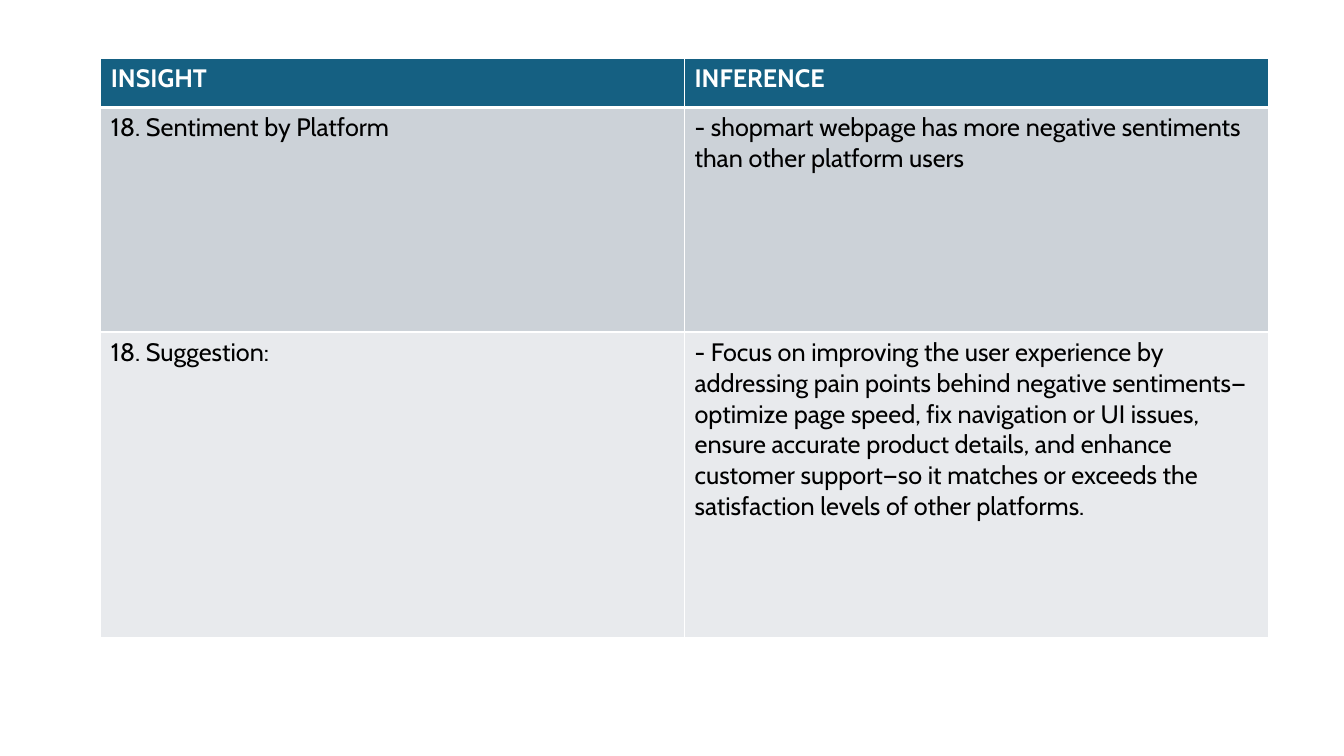
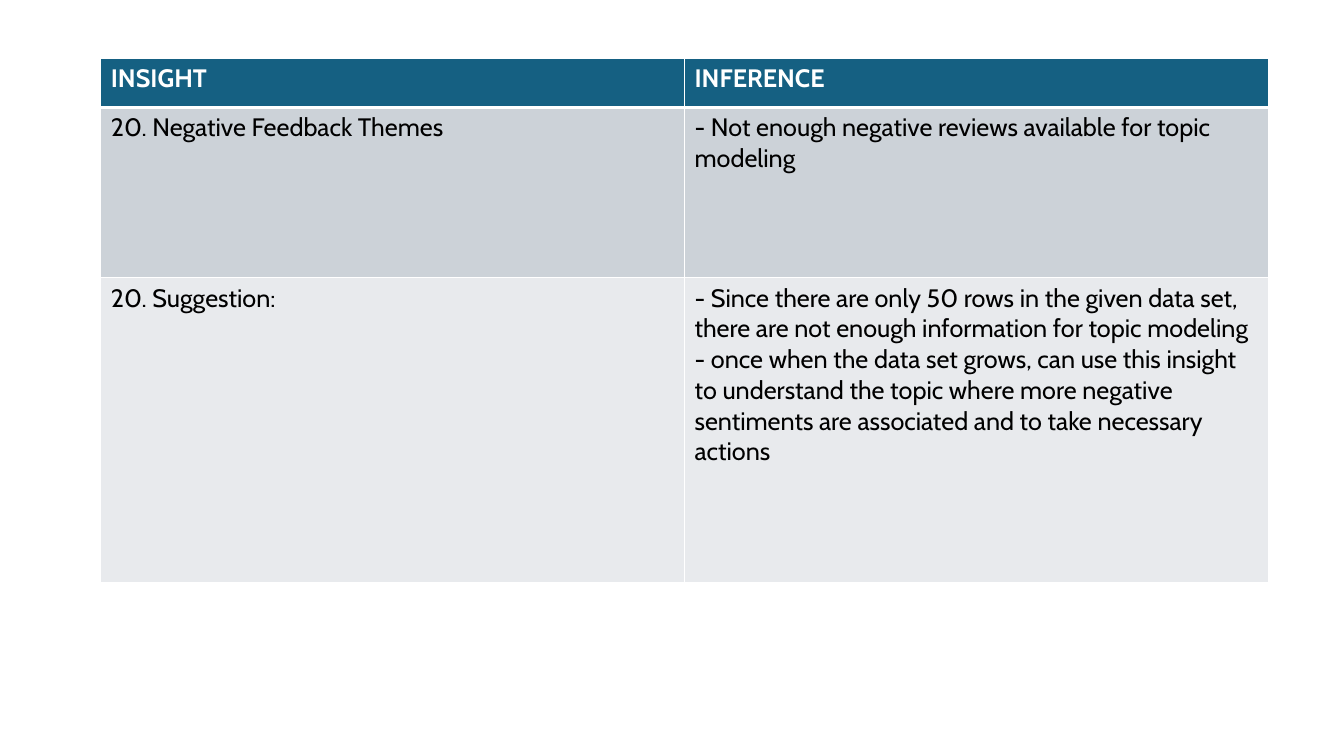
from pptx import Presentation
from pptx.dml.color import RGBColor
from pptx.oxml.ns import qn
from pptx.util import Pt
from lxml.etree import SubElement

FONT = "Cabin"
WHITE, BLACK = "FFFFFF", "000000"
HEADER_FILL = "156082"
BODY_FILLS = ("CCD2D8", "E8EAED")
HEADINGS = ("INSIGHT", "INFERENCE")
TABLE_BOX = (72, 41.4, 834)  # left, top, width
HEADER_HEIGHT, SUGGESTION_HEIGHT = 35.3, 218

# Height of the insight row, then the two body rows
SLIDES = [
    (160.5, [
        ("18. Sentiment by Platform",
         "- shopmart webpage has more negative sentiments than other platform users"),
        ("18. Suggestion:",
         "- Focus on improving the user experience by addressing pain points behind "
         "negative sentiments—optimize page speed, fix navigation or UI issues, ensure "
         "accurate product details, and enhance customer support—so it matches or "
         "exceeds the satisfaction levels of other platforms."),
    ]),
    (121.7, [
        ("20. Negative Feedback Themes",
         "- Not enough negative reviews available for topic modeling"),
        ("20. Suggestion:",
         "- Since there are only 50 rows in the given data set, there are not enough "
         "information for topic modeling\n"
         "- once when the data set grows, can use this insight to understand the topic "
         "where more negative sentiments are associated and to take necessary actions"),
    ]),
]


def rgb(color):
    return RGBColor.from_string(color)


def write_text(tf, text, size=18, color=BLACK, bold=False):
    """Write one paragraph per line of text."""
    for i, line in enumerate(text.split("\n")):
        p = tf.paragraphs[0] if i == 0 else tf.add_paragraph()
        r = p.add_run()
        r.text = line
        r.font.name, r.font.size, r.font.bold = FONT, Pt(size), bold
        r.font.color.rgb = rgb(color)


def set_borders(cell, color=WHITE, top=1, bottom=1):
    tc_pr = cell._tc.get_or_add_tcPr()
    for tag, width in (("lnL", 1), ("lnR", 1), ("lnT", top), ("lnB", bottom)):
        ln = SubElement(tc_pr, qn(f"a:{tag}"), w=str(Pt(width)))
        fill = SubElement(ln, qn("a:solidFill"))
        SubElement(fill, qn("a:srgbClr"), val=color)


def add_insight_table(slide, box, insight_height, body):
    left, top, width = box
    rows = [HEADINGS, *body]
    heights = (HEADER_HEIGHT, insight_height, SUGGESTION_HEIGHT)
    fills = (HEADER_FILL, *BODY_FILLS)
    table = slide.shapes.add_table(len(rows), len(HEADINGS), Pt(left), Pt(top),
                                   Pt(width), Pt(sum(heights))).table
    for column in table.columns:
        column.width = Pt(width / len(HEADINGS))

    for i, (texts, height, fill) in enumerate(zip(rows, heights, fills)):
        table.rows[i].height = Pt(height)
        header = i == 0
        for cell, text in zip(table.rows[i].cells, texts):
            # A thick rule parts the header from the body
            set_borders(cell, top=3 if i == 1 else 1, bottom=3 if header else 1)
            cell.fill.solid()
            cell.fill.fore_color.rgb = rgb(fill)
            write_text(cell.text_frame, text, bold=header,
                       color=WHITE if header else BLACK)


def main():
    prs = Presentation()
    prs.slide_width, prs.slide_height = Pt(960), Pt(540)
    blank = prs.slide_layouts[6]
    for insight_height, body in SLIDES:
        add_insight_table(prs.slides.add_slide(blank), TABLE_BOX, insight_height, body)
    prs.save("out.pptx")


if __name__ == "__main__":
    main()
